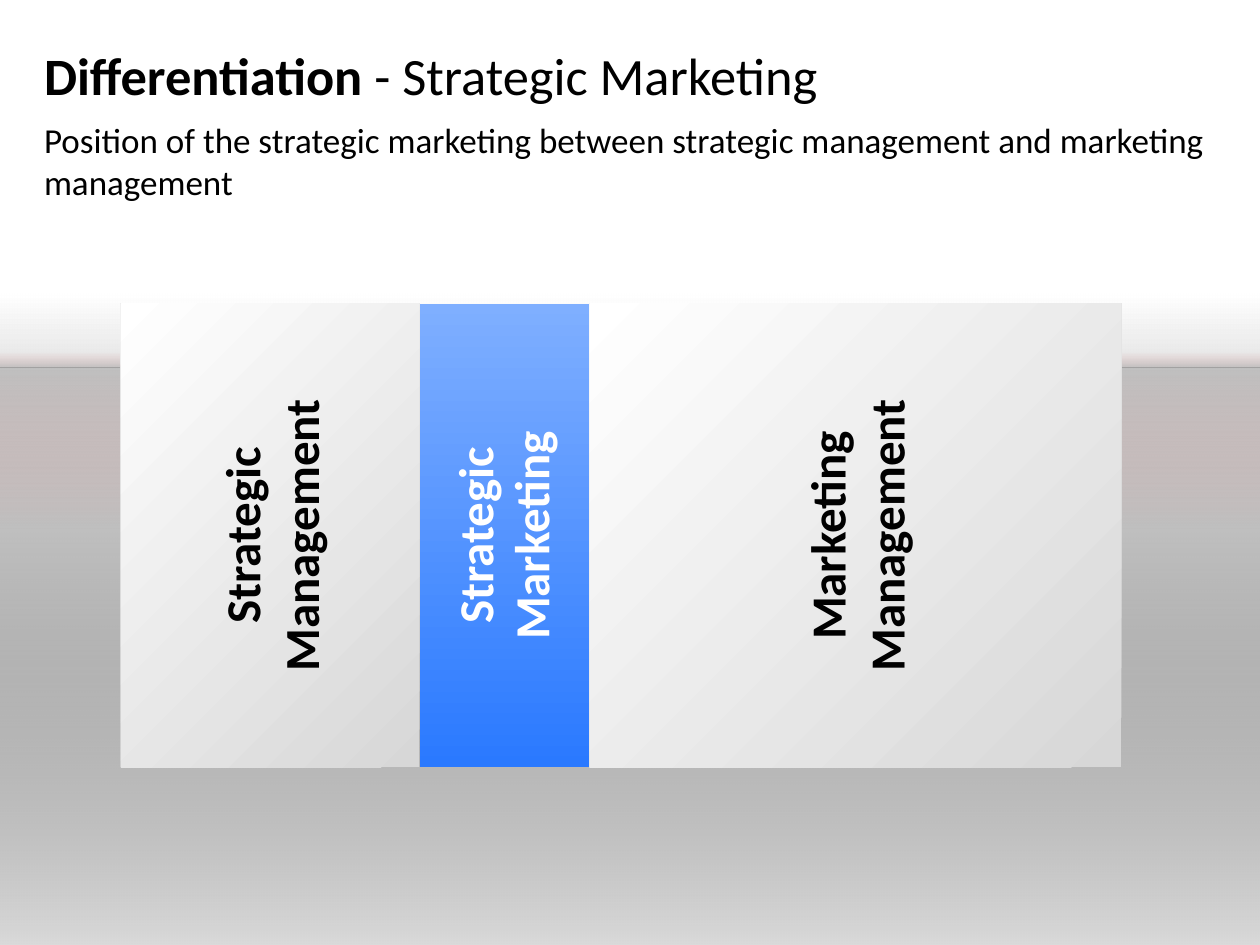
from lxml.etree import SubElement
from pptx import Presentation
from pptx.dml.color import RGBColor
from pptx.enum.shapes import MSO_SHAPE
from pptx.enum.text import MSO_ANCHOR, PP_ALIGN
from pptx.oxml.ns import qn
from pptx.util import Inches, Pt

SLIDE_W, SLIDE_H = 10, 7.5
MARGIN = 0.35
FONT = "Calibri"

BLACK = RGBColor(0x00, 0x00, 0x00)
WHITE = RGBColor(0xFF, 0xFF, 0xFF)
SHADE = RGBColor(0x26, 0x26, 0x26)
RED = RGBColor(0xC0, 0x00, 0x00)
GREY = RGBColor(0xD7, 0xD7, 0xD7)
LIGHT_BLUE = RGBColor(0x7F, 0xAF, 0xFF)
BLUE = RGBColor(0x2A, 0x79, 0xFF)

# Gradients: start colour, start opacity %, end colour, end opacity %, angle
FLOOR = (BLACK, 15, WHITE, 100, 270)
EDGE_UP = (SHADE, 20, RED, 0, 270)
EDGE_DOWN = (SHADE, 20, RED, 0, 90)
SILVER = (GREY, 100, WHITE, 100, 225)
ACCENT = (LIGHT_BLUE, 100, BLUE, 100, 90)

HORIZON = 2.92
BAND_LEFT, BAND_TOP, BAND_HEIGHT = 0.96, 2.41, 3.68


def set_gradient(shape, gradient):
    """Fill a shape with a two-stop linear gradient, with opacity."""
    start, start_opacity, end, end_opacity, angle = gradient
    shape.fill.background()
    properties = shape._element.spPr
    no_fill = properties.find(qn("a:noFill"))
    grad = SubElement(properties, qn("a:gradFill"), rotWithShape="1")
    properties.replace(no_fill, grad)
    stops = SubElement(grad, qn("a:gsLst"))
    for position, color, opacity in ((0, start, start_opacity),
                                     (100, end, end_opacity)):
        stop = SubElement(stops, qn("a:gs"), pos=str(position * 1000))
        tint = SubElement(stop, qn("a:srgbClr"), val=str(color))
        if opacity < 100:
            SubElement(tint, qn("a:alpha"), val=str(opacity * 1000))
    SubElement(grad, qn("a:lin"), ang=str(angle * 60000), scaled="0")


def add_panel(slide, left, top, width, height, gradient):
    panel = slide.shapes.add_shape(
        MSO_SHAPE.RECTANGLE, Inches(left), Inches(top),
        Inches(width), Inches(height))
    panel.shadow.inherit = False
    panel.line.fill.background()
    set_gradient(panel, gradient)
    return panel


def add_run(paragraph, text, size, color=BLACK, bold=False):
    run = paragraph.add_run()
    run.text = text
    run.font.name = FONT
    run.font.size = Pt(size)
    run.font.bold = bold
    run.font.color.rgb = color


def clear_insets(frame):
    frame.margin_left = frame.margin_right = 0
    frame.margin_top = frame.margin_bottom = 0


def add_heading(slide, top, height, size, parts, anchor):
    box = slide.shapes.add_textbox(
        Inches(MARGIN), Inches(top),
        Inches(SLIDE_W - 2 * MARGIN), Inches(height))
    frame = box.text_frame
    frame.word_wrap = True
    frame.vertical_anchor = anchor
    clear_insets(frame)
    for text, bold in parts:
        add_run(frame.paragraphs[0], text, size, bold=bold)


def add_stage(slide, left, width, lines, gradient, color):
    """Add one band section with its label turned upwards."""
    stage = add_panel(slide, left, BAND_TOP, width, BAND_HEIGHT, gradient)
    frame = stage.text_frame
    frame.vertical_anchor = MSO_ANCHOR.MIDDLE
    frame._txBody.bodyPr.set("vert", "vert270")
    frame.word_wrap = gradient is ACCENT
    label = frame.paragraphs[0]
    label.alignment = PP_ALIGN.CENTER
    if gradient is ACCENT:
        clear_insets(frame)
        label.line_spacing = 0.95
        label.space_after = Pt(8)
    for index, line in enumerate(lines):
        if index:
            label.add_line_break()
        add_run(label, line, 28, color, bold=True)


def main():
    deck = Presentation()
    deck.slide_width, deck.slide_height = Inches(SLIDE_W), Inches(SLIDE_H)
    slide = deck.slides.add_slide(deck.slide_layouts[6])

    # Backdrop: shaded floor with a soft horizon
    for top, bottom, gradient in ((2.33, SLIDE_H, FLOOR),
                                  (2.8, HORIZON, EDGE_UP),
                                  (HORIZON, 4.2, EDGE_DOWN)):
        add_panel(slide, 0, top, SLIDE_W, bottom - top, gradient)

    # Title and subtitle
    add_heading(slide, 0.26, 0.67, 30,
                [("Differentiation ", True), ("- Strategic Marketing", False)],
                MSO_ANCHOR.MIDDLE)
    add_heading(slide, 0.94, 0.37, 20,
                [("Position of the strategic marketing between strategic "
                  "management and marketing management", False)],
                MSO_ANCHOR.TOP)

    # Band of three adjoining sections
    left = BAND_LEFT
    for width, lines, gradient, color in (
            (2.37, ("Strategic", "Management"), SILVER, BLACK),
            (1.35, ("Strategic", "Marketing"), ACCENT, WHITE),
            (4.22, ("Marketing", "Management"), SILVER, BLACK)):
        add_stage(slide, left, width, lines, gradient, color)
        left += width

    deck.save("out.pptx")


if __name__ == "__main__":
    main()
